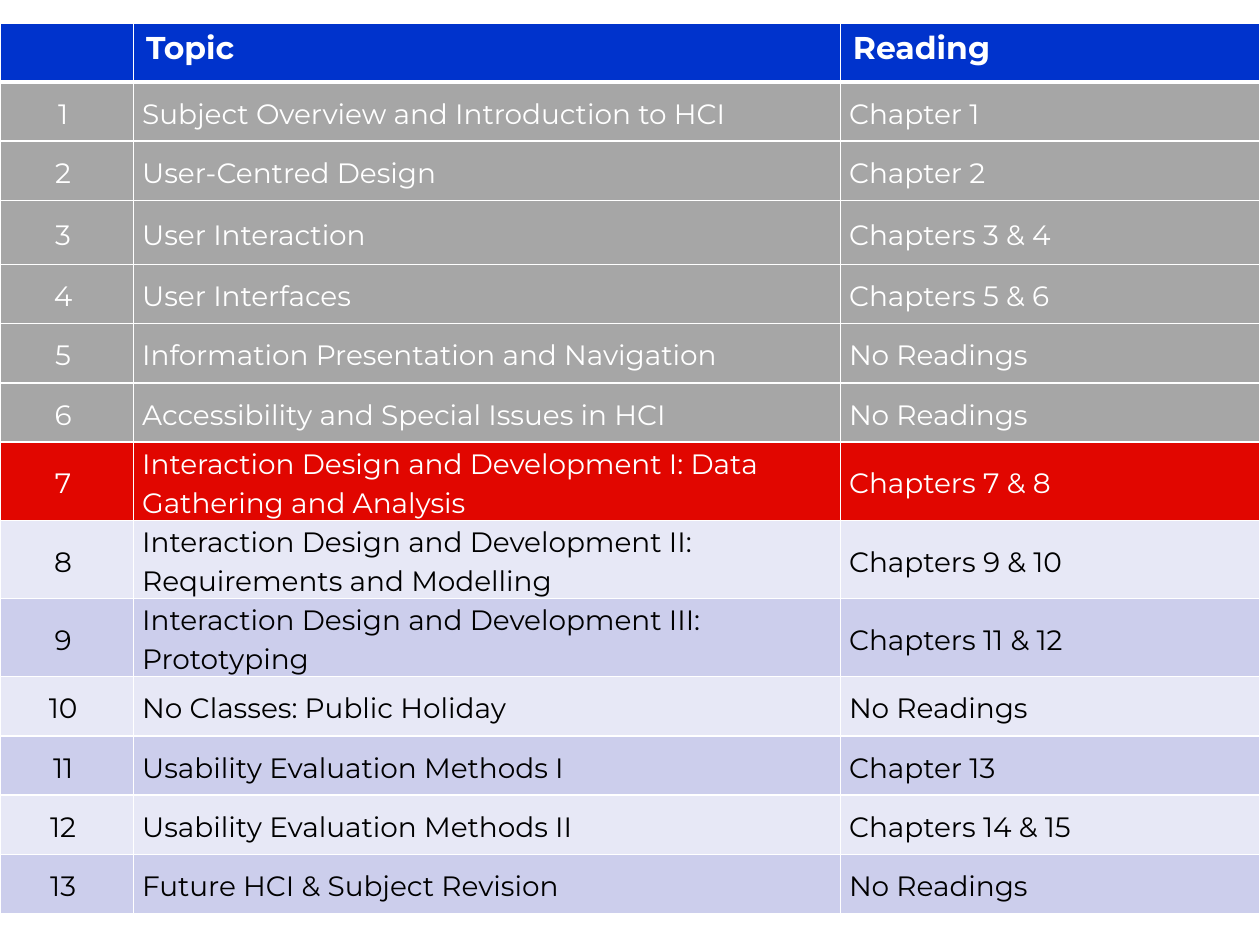
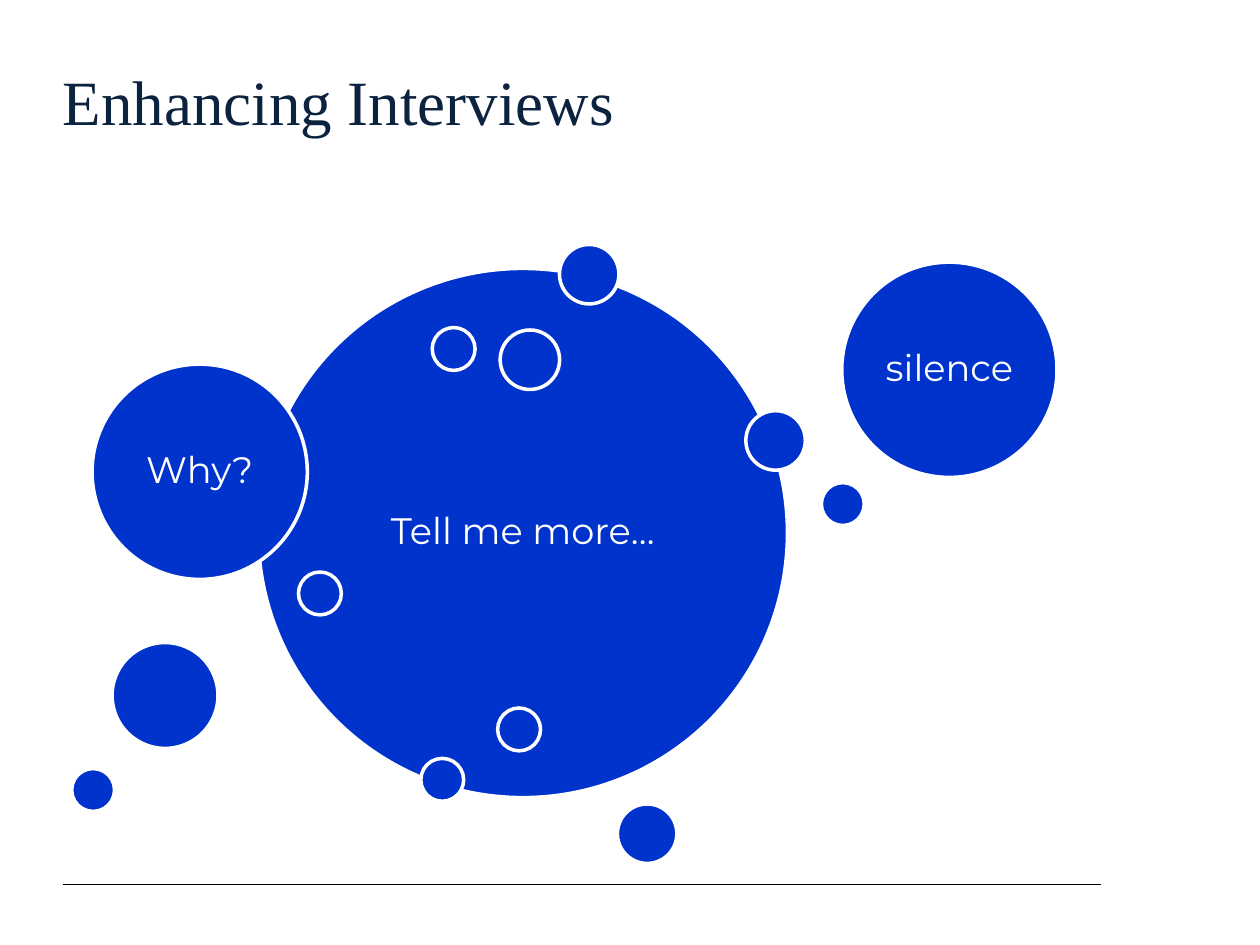
from dataclasses import dataclass

import lxml.etree
import pptx
import pptx.dml.color
import pptx.enum.shapes
import pptx.enum.text
import pptx.oxml.ns
import pptx.util

Pt = pptx.util.Pt
RGB = pptx.dml.color.RGBColor.from_string
ALIGN = pptx.enum.text.PP_ALIGN
ANCHOR = pptx.enum.text.MSO_ANCHOR
SHAPES = pptx.enum.shapes
qn = pptx.oxml.ns.qn


@dataclass(frozen=True)
class Theme:
    blue: str = "0033CC"
    navy: str = "0C2340"
    white: str = "FFFFFF"
    black: str = "000000"
    past: str = "A6A6A6"
    current: str = "E10600"
    pale: str = "E7E8F6"
    lilac: str = "CCCEEC"
    body_font: str = "Montserrat"
    title_font: str = "Times New Roman"
    title_size: float = 36
    bubble_size: float = 21
    header_size: float = 18
    cell_size: float = 16


T = Theme()

# Boxes are left, top, width, height
SLIDE_SIZE = (720, 540)
FOOTER_BOX = (36, 505.4, 593.3, 0)
TITLE_BOX = (36, 32.4, 573, 67)
SCHEDULE_BOX = (0, 13, 720, 508.3)
BUBBLE_BOX = (41, 139.7, 563, 354)

HEADINGS = ("", "Topic", "Reading")
COLUMN_WIDTHS = (76.3, 403.9, 239.8)
ROW_HEIGHT = 33.84
TALL_ROW, TALL_HEIGHT = 3, 36.7
CURRENT_WEEK = 7
WEEKS = (
    ("Subject Overview and Introduction to HCI", "Chapter 1"),
    ("User-Centred Design", "Chapter 2"),
    ("User Interaction", "Chapters 3 & 4"),
    ("User Interfaces", "Chapters 5 & 6"),
    ("Information Presentation and Navigation", "No Readings"),
    ("Accessibility and Special Issues in HCI", "No Readings"),
    ("Interaction Design and Development I: Data Gathering and Analysis", "Chapters 7 & 8"),
    ("Interaction Design and Development II: Requirements and Modelling", "Chapters 9 & 10"),
    ("Interaction Design and Development III: Prototyping", "Chapters 11 & 12"),
    ("No Classes: Public Holiday", "No Readings"),
    ("Usability Evaluation Methods I", "Chapter 13"),
    ("Usability Evaluation Methods II", "Chapters 14 & 15"),
    ("Future HCI & Subject Revision", "No Readings"),
)

# Bubble diameters, then bubbles from back to front: left, top, diameter, text
HUGE, LARGE, MEDIUM, SMALL, TINY = 302.4, 123, 60.5, 34, 24.5
BUBBLES = (
    (106.6, 13.7, HUGE, "Tell me more…"),
    (278.7, 0, SMALL, ""),
    (199.5, 293.7, TINY, ""),
    (428.4, 136.1, TINY, ""),
    (311.8, 319.7, SMALL, ""),
    (206, 47.5, TINY, ""),
    (129.6, 187.2, TINY, ""),
    (11.6, 68.4, LARGE, "Why?"),
    (244.8, 48.9, SMALL, ""),
    (23.1, 227.5, MEDIUM, ""),
    (440, 10.1, LARGE, "silence"),
    (385.2, 95, SMALL, ""),
    (0, 299.5, TINY, ""),
    (243.4, 264.9, TINY, ""),
)


def apply(obj, values):
    """Set each named attribute of an object."""
    for name, value in values.items():
        setattr(obj, name, value)


def points(box):
    return [Pt(v) for v in box]


def margins(left, top, right, bottom):
    return dict(margin_left=Pt(left), margin_top=Pt(top),
                margin_right=Pt(right), margin_bottom=Pt(bottom))


def paint(target, color):
    target.fill.solid()
    target.fill.fore_color.rgb = RGB(color)


def write(tf, text, font, size, color, bold=False, **paragraph):
    p = tf.paragraphs[0]
    apply(p, paragraph)
    r = p.add_run()
    r.text = text
    apply(r.font, dict(name=font, size=Pt(size), bold=bold))
    r.font.color.rgb = RGB(color)


def set_borders(cell, top, bottom):
    """Draw white cell borders; side borders are always 1 pt."""
    tc_pr = cell._tc.get_or_add_tcPr()
    sides = (("L", 1), ("R", 1), ("T", top), ("B", bottom))
    for i, (side, width) in enumerate(sides):
        ln = lxml.etree.Element(qn(f"a:ln{side}"), w=str(Pt(width)))
        fill = lxml.etree.SubElement(ln, qn("a:solidFill"))
        lxml.etree.SubElement(fill, qn("a:srgbClr"), val=T.white)
        tc_pr.insert(i, ln)


def add_footer_line(s, box):
    left, top, width, height = box
    ends = points((left, top, left + width, top + height))
    line = s.shapes.add_connector(SHAPES.MSO_CONNECTOR.STRAIGHT, *ends)
    line.line.color.rgb = RGB(T.black)
    line.line.width = Pt(0.75)
    lxml.etree.SubElement(line._element.spPr, qn("a:effectLst"))


def add_title(s, box, text):
    tf = s.shapes.add_textbox(*points(box)).text_frame
    apply(tf, dict(word_wrap=True, vertical_anchor=ANCHOR.TOP, **margins(0, 3.2, 7.2, 3.6)))
    write(tf, text, T.title_font, T.title_size, T.navy)


def week_colors(week):
    """Return the fill and text colour of a week's row."""
    if week < CURRENT_WEEK:
        return T.past, T.white
    if week == CURRENT_WEEK:
        return T.current, T.white
    return (T.lilac if week % 2 else T.pale), T.black


def add_schedule(s, box):
    table = s.shapes.add_table(len(WEEKS) + 1, len(HEADINGS), *points(box)).table
    table.horz_banding = False
    for column, width in zip(table.columns, COLUMN_WIDTHS):
        column.width = Pt(width)
    for i, row in enumerate(table.rows):
        row.height = Pt(TALL_HEIGHT if i == TALL_ROW else ROW_HEIGHT)

    # Header row
    for cell, heading in zip(table.rows[0].cells, HEADINGS):
        paint(cell, T.blue)
        set_borders(cell, 1, 3)
        if heading:
            write(cell.text_frame, heading, T.body_font, T.header_size, T.white, bold=True)

    # One row per week
    for week, (topic, reading) in enumerate(WEEKS, 1):
        fill, color = week_colors(week)
        for j, text in enumerate((f"{week} ", topic, reading)):
            cell = table.cell(week, j)
            paint(cell, fill)
            set_borders(cell, 3 if week == 1 else 1, 1)
            apply(cell, dict(vertical_anchor=ANCHOR.MIDDLE, **margins(5, 0, 5, 0)))
            write(cell.text_frame, text, T.body_font, T.cell_size, color,
                  line_spacing=1.15, alignment=ALIGN.LEFT if j else ALIGN.CENTER)


def add_bubbles(s, box):
    for dx, dy, size, text in BUBBLES:
        place = points((box[0] + dx, box[1] + dy, size, size))
        sp = s.shapes.add_shape(SHAPES.MSO_SHAPE.OVAL, *place)
        sp.shadow.inherit = False
        paint(sp, T.blue)
        sp.line.color.rgb = RGB(T.white)
        sp.line.width = Pt(2)
        if text:
            tf = sp.text_frame
            apply(tf, dict(word_wrap=True, vertical_anchor=ANCHOR.MIDDLE,
                           **margins(6.5, 6.5, 6.5, 6.5)))
            write(tf, text, T.body_font, T.bubble_size, T.white,
                  line_spacing=0.9, alignment=ALIGN.CENTER)


def add_slide(prs):
    s = prs.slides.add_slide(prs.slide_layouts[6])
    paint(s.background, T.white)
    add_footer_line(s, FOOTER_BOX)
    return s


def main():
    prs = pptx.Presentation()
    prs.slide_width, prs.slide_height = points(SLIDE_SIZE)

    # Weekly schedule
    add_schedule(add_slide(prs), SCHEDULE_BOX)

    # Interview prompts
    s = add_slide(prs)
    add_title(s, TITLE_BOX, "Enhancing Interviews")
    add_bubbles(s, BUBBLE_BOX)

    prs.save("out.pptx")


if __name__ == "__main__":
    main()
